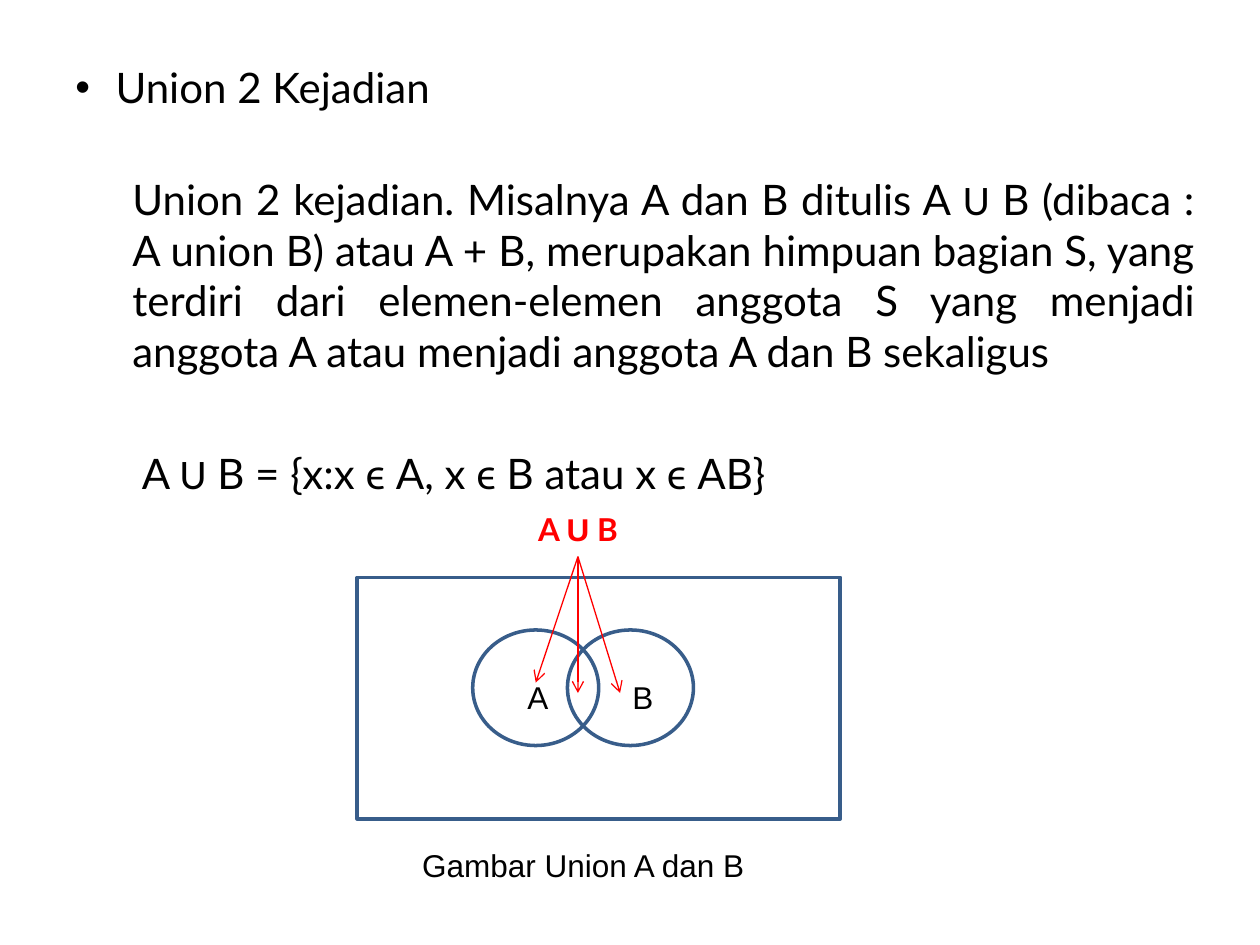
import pptx
import pptx.dml.color
import pptx.enum.shapes
import pptx.enum.text
import pptx.oxml.xmlchemy
import pptx.util
from lxml import etree
from pptx.util import Cm

COLORS = {"text": "000000", "outline": "385D8A", "accent": "FF0000"}
BODY = {"size": pptx.util.Pt(24), "name": "Lato"}
LABEL = {"size": pptx.util.Pt(18), "name": "Arial"}
UNION_LABEL = {"size": pptx.util.Pt(18), "name": "Lato", "bold": True}
JUSTIFY = {"alignment": pptx.enum.text.PP_ALIGN.JUSTIFY}
SHAPES = pptx.enum.shapes.MSO_SHAPE


def rgb(name):
    """Return the named colour."""
    return pptx.dml.color.RGBColor.from_string(COLORS[name])


def set_all(target, values):
    """Set every attribute in the dict of format values."""
    for name, value in values.items():
        setattr(target, name, value)


def add_text_box(slide, box):
    """Add a wrapping text box and return its text frame."""
    frame = slide.shapes.add_textbox(*map(Cm, box)).text_frame
    frame.word_wrap = True
    return frame


def fill_paragraph(paragraph, runs, font, color="text", layout=None):
    """Write runs of (text, font name) into a paragraph."""
    set_all(paragraph, layout or {})
    for text, name in runs:
        run = paragraph.add_run()
        run.text = text
        set_all(run.font, {**font, "name": name or font["name"]})
        run.font.color.rgb = rgb(color)


def indent(paragraph, margin, first=0):
    """Set the left margin and first-line indent in centimetres."""
    properties = paragraph._p.get_or_add_pPr()
    properties.set("marL", str(Cm(margin)))
    properties.set("indent", str(Cm(first)))
    return properties


def add_heading(slide, box):
    """Place the bulleted heading."""
    frame = add_text_box(slide, box)
    frame.vertical_anchor = pptx.enum.text.MSO_ANCHOR.MIDDLE
    paragraph = frame.paragraphs[0]
    fill_paragraph(paragraph, [("Union 2 Kejadian", None)], BODY, layout=JUSTIFY)
    properties = indent(paragraph, 0.81, -0.81)
    for tag, name, value in (("buFont", "typeface", "Arial"), ("buChar", "char", "•")):
        bullet = etree.SubElement(properties, pptx.oxml.ns.qn(f"a:{tag}"))
        bullet.set(name, value)


def add_definition(slide, box):
    """Place the definition and its set notation."""
    frame = add_text_box(slide, box)
    definition = [
        ("Union 2 kejadian. Misalnya A dan B ditulis A ", None),
        ("U", "Calibri"),
        (" B (dibaca : A union B) atau A + B, merupakan himpuan bagian S, "
         "yang terdiri dari elemen-elemen anggota S yang menjadi anggota A "
         "atau menjadi anggota A dan B sekaligus", None),
    ]
    notation = [("A ", None), ("U", "Calibri"),
                (" B = {x:x ϵ A, x ϵ B atau x ϵ AB}", None)]
    paragraphs = [frame.paragraphs[0], frame.add_paragraph()]
    for paragraph, runs, margin, space in zip(
            paragraphs, (definition, notation), (0.95, 1.14), (6, 41)):
        layout = {**JUSTIFY, "space_before": pptx.util.Pt(space)}
        fill_paragraph(paragraph, runs, BODY, layout=layout)
        indent(paragraph, margin)


def add_outline(slide, kind, box):
    """Add an unfilled outlined shape."""
    shape = slide.shapes.add_shape(kind, *map(Cm, box))
    shape.shadow.inherit = False
    shape.fill.background()
    shape.line.color.rgb = rgb("outline")
    shape.line.width = pptx.util.Pt(2)


def add_arrow(slide, start, end):
    """Add a thin red arrow."""
    connector = slide.shapes.add_connector(
        pptx.enum.shapes.MSO_CONNECTOR.STRAIGHT, *map(Cm, start + end))
    connector.line.color.rgb = rgb("accent")
    connector.line.width = pptx.util.Pt(0.75)
    head = etree.SubElement(connector.line._get_or_add_ln(), pptx.oxml.ns.qn("a:tailEnd"))
    head.set("type", "arrow")
    etree.SubElement(connector._element.spPr, pptx.oxml.ns.qn("a:effectLst"))


def add_venn_diagram(slide, box):
    """Place the Venn diagram with its labels, arrows and caption."""
    left, top, width, height = box
    add_outline(slide, SHAPES.RECTANGLE, (left, top + 1.48, width, 4.87))
    for column in range(2):
        add_outline(slide, SHAPES.OVAL,
                    (left + 2.33 + column * 1.91, top + 2.54, 2.54, 2.33))

    labels = [
        (3.18, 3.39, 1, [("A", None)], LABEL, "text"),
        (5.3, 3.39, 1, [("B", None)], LABEL, "text"),
        (3.4, 0, 3.18, [("A ", None), ("U", "Arial"), (" B", None)],
         UNION_LABEL, "accent"),
        (1.06, height - 1.03, 8.26, [("Gambar Union A dan B", None)], LABEL, "text"),
    ]
    for x, y, label_width, runs, font, color in labels:
        frame = add_text_box(slide, (left + x, top + y, label_width, 1.03))
        fill_paragraph(frame.paragraphs[0], runs, font, color)

    start = (left + 4.45, top + 1.06)
    for x, y in ((3.6, 3.6), (4.45, 3.81), (5.3, 3.81)):
        add_arrow(slide, start, (left + x, top + y))


def main():
    """Build and save the slide."""
    presentation = pptx.Presentation()
    set_all(presentation, {"slide_width": Cm(25.4), "slide_height": Cm(19.05)})
    slide = presentation.slides.add_slide(presentation.slide_layouts[6])
    add_heading(slide, (1.27, 0.76, 22.86, 1.98))
    add_definition(slide, (1.47, 3.38, 22.86, 6.8))
    add_venn_diagram(slide, (7.2, 10.16, 9.74, 7.8))
    presentation.save("out.pptx")


if __name__ == "__main__":
    main()
